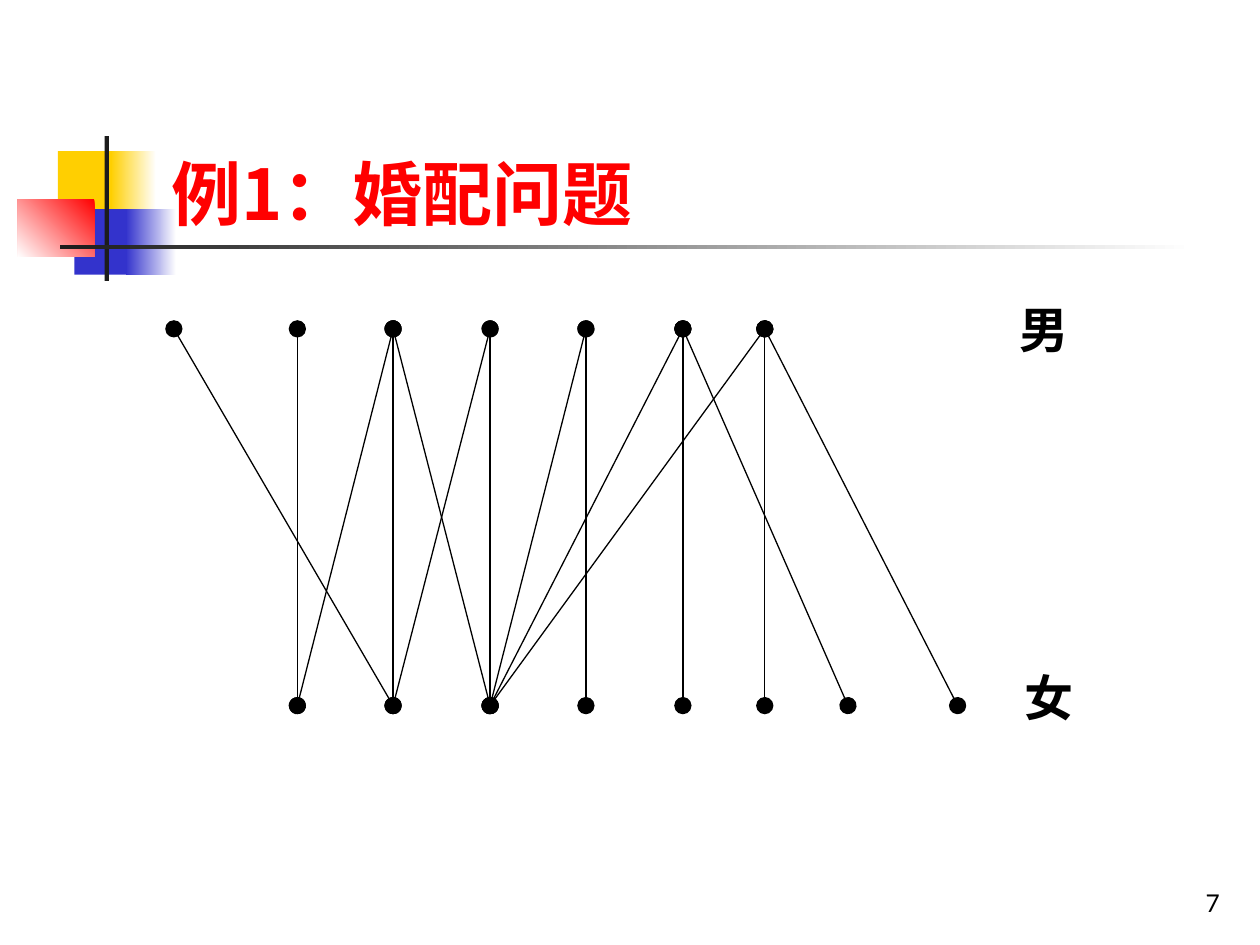
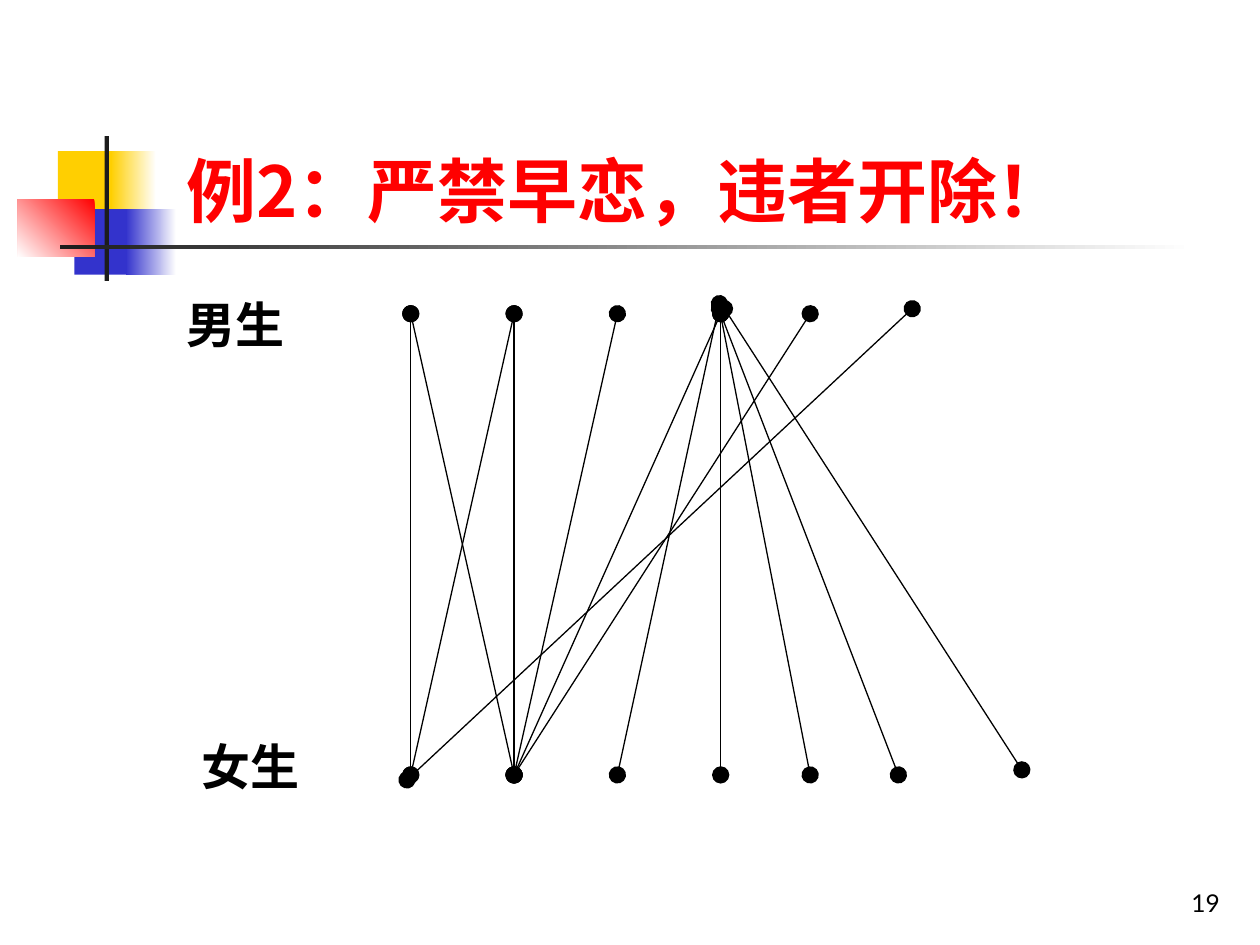
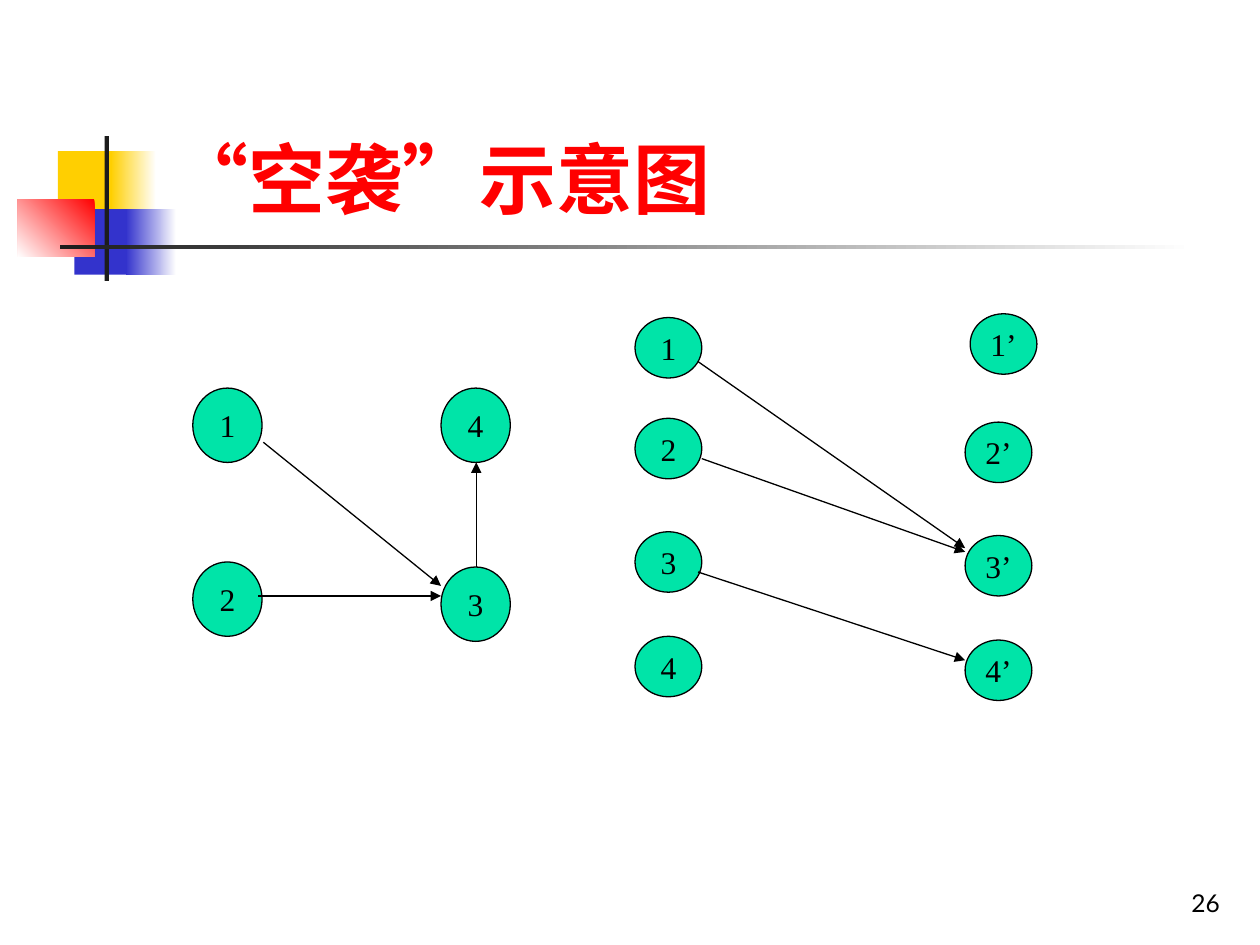
from lxml.etree import SubElement
from pptx import Presentation
from pptx.dml.color import RGBColor
from pptx.enum.shapes import MSO_CONNECTOR, MSO_SHAPE
from pptx.enum.text import MSO_ANCHOR, MSO_AUTO_SIZE, PP_ALIGN
from pptx.oxml.ns import qn
from pptx.util import Inches, Pt

# Shared style: lengths are cells of a 100 by 75 grid
COLUMNS, ROWS = 100, 75
COLORS = {
    "white": "FFFFFF", "black": "000000", "ink": "1C1C1C", "red": "FF0000",
    "yellow": "FFCF01", "blue": "3333CC", "green": "00E4A8",
}
CHINESE, SANS, SERIF = "Noto Sans CJK SC", "Lato", "Times New Roman"
TITLE = {"name": CHINESE, "size": Pt(40), "bold": True, "color": "red"}
WIDE_TITLE = {**TITLE, "name": SANS, "size": Pt(44)}
LABEL = {"name": CHINESE, "size": Pt(28), "bold": True, "color": "black"}
NODE = {"name": SERIF, "size": Pt(18), "bold": False, "color": "black"}
NUMBER = {"name": SANS, "size": Pt(14), "bold": False, "color": "black"}
LINE_WIDTH = Pt(0.74)

# Band of every slide: place, then fill as one colour or (from, to, angle)
BAND = [
    ((4.6, 12, 4.8, 5.2), "yellow"),
    ((8.8, 12, 3.6, 5.2), ("white", "yellow", 180)),
    ((5.9, 16.6, 4.6, 5.2), "blue"),
    ((10, 16.6, 4, 5.2), ("white", "blue", 180)),
    ((1.4, 15.8, 6.1, 4.6), ("red", "white", 225)),
    ((8.3, 10.8, 0.35, 11.5), "ink"),
    ((4.8, 19.45, 90, 0.35), ("white", "ink", 180)),
]


def color(name):
    return RGBColor.from_string(COLORS[name])


class Painter:
    def __init__(self):
        self.deck = Presentation()
        self.deck.slide_width, self.deck.slide_height = Inches(10), Inches(7.5)
        self.page = self.canvas = None

    def x(self, columns):
        return round(self.deck.slide_width * columns / COLUMNS)

    def y(self, rows):
        return round(self.deck.slide_height * rows / ROWS)

    def place(self, at):
        left, top, width, height = at
        return self.x(left), self.y(top), self.x(width), self.y(height)

    def start(self, title, at, number, style=TITLE):
        """Begin a slide with its band, title and page number."""
        self.page = self.deck.slides.add_slide(self.deck.slide_layouts[5])
        self.canvas = self.page.shapes
        for band_at, fill in BAND:
            self.shape(MSO_SHAPE.RECTANGLE, band_at, fill)
        box = self.page.shapes.title
        box.left, box.top, box.width, box.height = self.place(at)
        box.element.getparent().append(box.element)
        self.set_text(box, title, style, vertical_anchor=MSO_ANCHOR.BOTTOM,
                      auto_size=MSO_AUTO_SIZE.NONE)
        self.text(str(number), (77, 68.3, 20.8, 5), NUMBER, PP_ALIGN.RIGHT,
                  vertical_anchor=MSO_ANCHOR.BOTTOM)

    def group(self):
        """Send the next shapes and lines to a new group."""
        self.canvas = self.page.shapes.add_group_shape().shapes

    def set_text(self, box, text, style, align=PP_ALIGN.LEFT, **frame_format):
        frame = box.text_frame
        for name, value in {"word_wrap": True, **frame_format}.items():
            setattr(frame, name, value)
        para = frame.paragraphs[0]
        para.alignment = align
        span = para.add_run()
        span.text = text
        for name, value in style.items():
            if name == "color":
                span.font.color.rgb = color(value)
            else:
                setattr(span.font, name, value)
        for properties in box.element.iter(qn("a:rPr")):
            SubElement(properties, qn("a:ea")).set("typeface", CHINESE)
        return para

    def text(self, text, at, style, align=PP_ALIGN.LEFT, **frame_format):
        box = self.page.shapes.add_textbox(*self.place(at))
        return self.set_text(box, text, style, align, **frame_format)

    def label(self, text, at):
        para = self.text(text, at, LABEL, auto_size=MSO_AUTO_SIZE.SHAPE_TO_FIT_TEXT)
        para.space_before = Pt(17.5)

    def shape(self, kind, at, fill, line=None):
        shape = self.canvas.add_shape(kind, *self.place(at))
        shape.shadow.inherit = False
        if isinstance(fill, tuple):
            first, last, angle = fill
            shape.fill.gradient()
            shape.fill.gradient_angle = angle
            for stop, name, position in zip(shape.fill.gradient_stops, (first, last), (0, 1)):
                stop.color.rgb, stop.position = color(name), position
        else:
            shape.fill.solid()
            shape.fill.fore_color.rgb = color(fill)
        if line:
            shape.line.color.rgb, shape.line.width = color(line), LINE_WIDTH
        else:
            shape.line.fill.background()
        return shape

    def node(self, text, at):
        node = self.shape(MSO_SHAPE.OVAL, at, "green", "black")
        self.set_text(node, text, NODE, PP_ALIGN.CENTER, word_wrap=False,
                      vertical_anchor=MSO_ANCHOR.MIDDLE)

    def line(self, start, end, **ends):
        """Draw a line; ends maps headEnd or tailEnd to (type, size)."""
        line = self.canvas.add_connector(
            MSO_CONNECTOR.STRAIGHT, self.x(start[0]), self.y(start[1]),
            self.x(end[0]), self.y(end[1]))
        line.line.color.rgb, line.line.width = color("black"), LINE_WIDTH
        properties = line.element.spPr
        outline = properties.find(qn("a:ln"))
        for tag, (kind, size) in ends.items():
            mark = SubElement(outline, qn("a:" + tag))
            for name, value in {"type": kind, "w": size, "len": size}.items():
                mark.set(name, value)
        SubElement(properties, qn("a:effectLst"))

    def matching(self, tops, bottoms, pairs):
        """Join two rows of dots."""
        self.group()
        dot = ("oval", "lg")
        for top, bottom in pairs:
            self.line(tops[top], bottoms[bottom], headEnd=dot, tailEnd=dot)

    def arrows(self, ends):
        for start, end in ends:
            self.line(start, end, tailEnd=("triangle", "med"))


def row(y, *columns):
    return [(x, y) for x in columns]


painter = Painter()

# Slide 1: marriage matching
painter.start("例1：婚配问题", (12.6, 9.1, 44.5, 10), 7)
shared = (23.6, 31.2, 38.9, 46.5, 54.2, 60.7)
painter.matching(
    row(26.1, 13.8, *shared), row(56, *shared, 67.3, 76),
    [(0, 1), (1, 0), (2, 1), (2, 0), (2, 2), (3, 2), (3, 1), (4, 2),
     (4, 3), (5, 4), (6, 2), (6, 5), (5, 2), (5, 6), (6, 7)])
painter.label("男", (79.9, 23.3, 7.1, 5.7))
painter.label("女", (80.3, 52.5, 7.9, 5.7))

# Slide 2: pupils, with a few dots set slightly off their row
painter.start("例2：严禁早恋，违者开除！", (13.8, 5.6, 75.2, 13.3), 19)
shared = (32.6, 40.8, 49, 57.2, 64.3)
boys = row(24.9, *shared) + [(72.4, 24.5), (57.1, 24.1), (57.1, 24.5), (57.5, 24.5)]
girls = row(61.5, *shared, 71.3) + [(81.1, 61.1), (32.3, 61.9)]
painter.matching(
    boys, girls,
    [(5, 7), (0, 0), (0, 1), (1, 1), (1, 0), (2, 1), (6, 2),
     (3, 3), (4, 1), (7, 4), (3, 1), (3, 5), (8, 6)])
painter.label("男生", (13.8, 22.9, 12.2, 5.7))
painter.label("女生", (15, 58, 10.6, 5.7))

# Slide 3: directed graph and its split into two columns
painter.start("“空袭”示意图", (12.6, 2.3, 85.2, 16), 26, WIDE_TITLE)
painter.group()
for index, top in enumerate((25.2, 33.2, 42.2, 50.5), 1):
    painter.node(str(index), (50.4, top, 5.3, 4.8))
for index, (left, top) in enumerate([(77, 24.9), *((76.6, y) for y in (33.5, 42.5, 50.8))], 1):
    painter.node(f"{index}’", (left, top, 5.3, 4.8))
painter.arrows([((55.4, 28.7), (76.6, 43.5)), ((55.7, 36.4), (76.6, 43.8)),
                ((55.4, 45.4), (76.6, 52.4))])
painter.group()
for index, (left, top) in enumerate([(15.3, 30.8), (15.3, 44.6), (35, 45), (35, 30.8)], 1):
    painter.node(str(index), (left, top, 5.5, 5.9))
painter.arrows([((20.9, 35.1), (35, 46.5)), ((20.5, 47.3), (35, 47.3)),
                ((37.8, 45), (37.8, 36.7))])

painter.deck.save("out.pptx")
